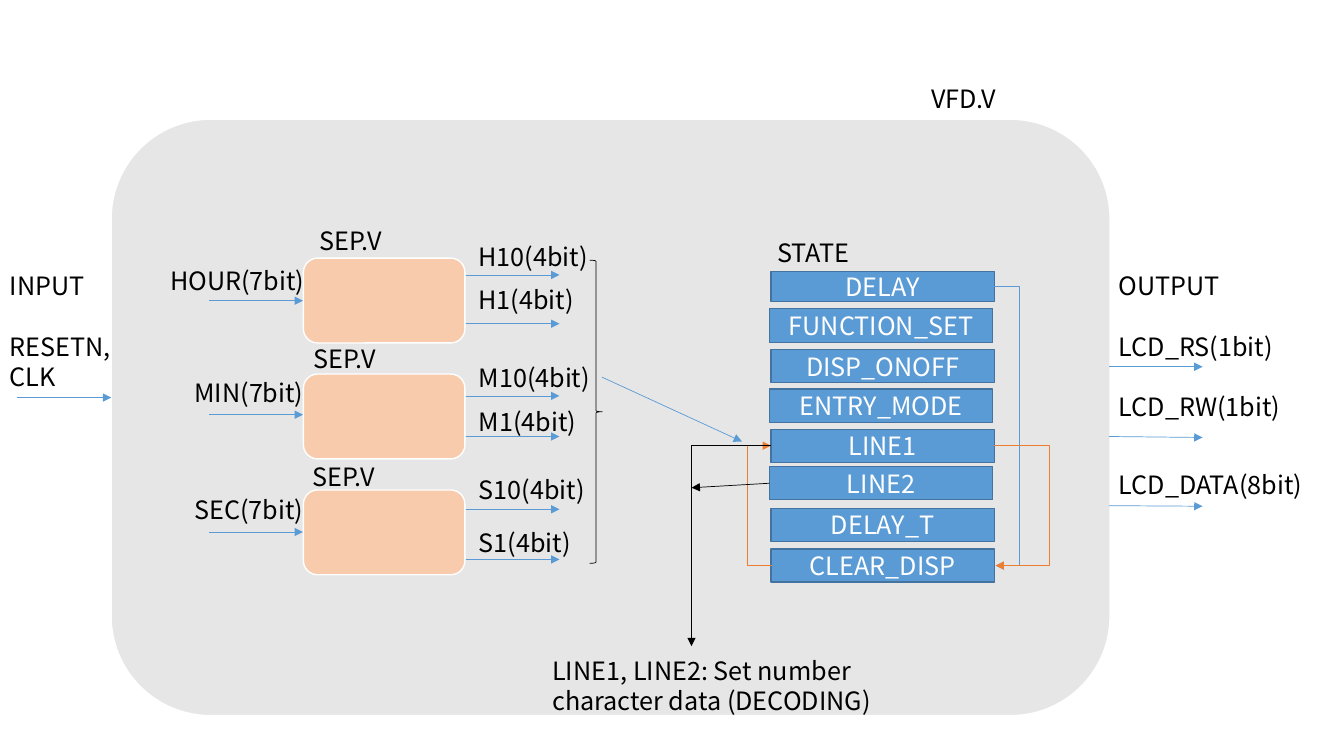
from typing import NamedTuple

from lxml import etree
from pptx import Presentation
from pptx.dml.color import RGBColor
from pptx.enum.shapes import MSO_CONNECTOR, MSO_SHAPE
from pptx.enum.text import MSO_ANCHOR, PP_ALIGN
from pptx.oxml.ns import qn
from pptx.util import Pt

RECT, ROUND = MSO_SHAPE.RECTANGLE, MSO_SHAPE.ROUNDED_RECTANGLE
BRACE = MSO_SHAPE.RIGHT_BRACE
STRAIGHT, ELBOW = MSO_CONNECTOR.STRAIGHT, MSO_CONNECTOR.ELBOW
MIDDLE, CENTER = MSO_ANCHOR.MIDDLE, PP_ALIGN.CENTER
FONT, SIZE, LINE = "Noto Sans CJK KR", 18, 21.8
BLACK, WHITE, GREY = "000000", "FFFFFF", "E7E6E6"
BLUE, NAVY, PEACH, ORANGE = "5B9BD5", "43739E", "F8CBAD", "ED7D31"
REACH = 67


class Box(NamedTuple):
    left: float
    top: float
    width: float
    height: float
    fill: str | None
    edge: str
    weight: float = 1
    kind: int = ROUND
    text: str = ""


class Label(NamedTuple):
    left: float
    top: float
    width: float
    text: str
    rows: int = 1


class Arrow(NamedTuple):
    x1: float
    y1: float
    x2: float
    y2: float
    tint: str = BLUE
    geom: str = ""
    bend: float = 0


class Signal(NamedTuple):
    text: str
    top: float
    wire: float


class Stage(NamedTuple):
    name: str
    left: float
    top: float
    signal: Signal
    start: float
    outs: tuple[Signal, Signal]


def color(code: str) -> RGBColor:
    return RGBColor.from_string(code)


def style(para, tint: str) -> None:
    para.font.name = FONT
    para.font.size = Pt(SIZE)
    para.font.color.rgb = color(tint)


def draw_box(box: Box) -> None:
    shape = slide.shapes.add_shape(
        box.kind, Pt(box.left), Pt(box.top), Pt(box.width), Pt(box.height))
    shape.shadow.inherit = False
    if box.fill:
        shape.fill.solid()
        shape.fill.fore_color.rgb = color(box.fill)
    else:
        shape.fill.background()
    shape.line.color.rgb = color(box.edge)
    shape.line.width = Pt(box.weight)
    if box.text:
        frame = shape.text_frame
        frame.vertical_anchor = MIDDLE
        frame.text = box.text
        para = frame.paragraphs[0]
        para.alignment = CENTER
        style(para, WHITE)


def draw_label(label: Label) -> None:
    height = LINE * label.rows + 7.2
    area = slide.shapes.add_textbox(
        Pt(label.left), Pt(label.top), Pt(label.width), Pt(height))
    frame = area.text_frame
    frame.word_wrap = True
    frame.text = label.text
    for index, para in enumerate(frame.paragraphs):
        style(para, BLACK)
        if index:
            para.space_before = Pt(LINE)


def draw_arrow(arrow: Arrow) -> None:
    wire = slide.shapes.add_connector(
        ELBOW if arrow.geom else STRAIGHT,
        Pt(arrow.x1), Pt(arrow.y1), Pt(arrow.x2), Pt(arrow.y2))
    wire.line.color.rgb = color(arrow.tint)
    wire.line.width = Pt(0.5)
    props = wire._element.spPr
    etree.SubElement(wire.line._get_or_add_ln(), qn("a:tailEnd"), type="triangle")
    etree.SubElement(props, qn("a:effectLst"))
    if arrow.geom:
        props.prstGeom.set("prst", arrow.geom)
    if arrow.bend:
        ratio = round(arrow.bend / abs(arrow.x2 - arrow.x1) * 100000)
        guides = props.prstGeom.get_or_add_avLst()
        etree.SubElement(guides, qn("a:gd"), name="adj1", fmla=f"val {ratio}")


deck = Presentation()
deck.slide_width, deck.slide_height = Pt(960), Pt(540)
slide = deck.slides.add_slide(deck.slide_layouts[6])

draw_box(Box(79.4, 85.2, 713.5, 426, GREY, WHITE))

labels = [
    Label(658, 56, 178, "VFD.V"),
    Label(0, 189.4, 102, "INPUT\nRESETN, CLK", 4),
    Label(792, 189.4, 160, "OUTPUT\nLCD_RS(1bit)", 3),
    Label(792, 275.8, 155, "LCD_RW(1bit)"),
    Label(792, 332, 155, "LCD_DATA(8bit)"),
    Label(548, 166, 178, "STATE"),
]
for label in labels:
    draw_label(label)

draw_arrow(Arrow(11.8, 284, 79.4, 284))
for start, end in ((262, 262), (311.8, 312.5), (361.2, 361.6)):
    draw_arrow(Arrow(792, start, 792 + REACH, end))

EVEN, ODD, WIDE = 550.8, 549.6, 159.4
states = [
    ("DELAY", EVEN, 193.8, 21.8),
    ("FUNCTION_SET", ODD, 220.4, 24.4),
    ("DISP_ONOFF", EVEN, 249.8, 23.6),
    ("ENTRY_MODE", ODD, 278, 23.6),
    ("LINE1", EVEN, 306.6, 23.6),
    ("LINE2", ODD, 333.4, 23.6),
    ("DELAY_T", EVEN, 363, 23.6),
    ("CLEAR_DISP", EVEN, 392.2, 23.6),
]
for name, left, top, height in states:
    draw_box(Box(left, top, WIDE, height, BLUE, NAVY, kind=RECT, text=name))

middle = {name: top + height / 2 for name, left, top, height in states}
first, clear = middle["LINE1"], middle["CLEAR_DISP"]
right = EVEN + WIDE
draw_arrow(Arrow(EVEN + 1, clear, EVEN, first, ORANGE, "bentConnector3", 18))
draw_arrow(Arrow(right, middle["DELAY"], right + 1, clear, BLUE, "bentConnector3", 18))
draw_arrow(Arrow(right, first, right + 1, clear, ORANGE, "bentConnector3", 39.7))

stages = [
    Stage("SEP.V", 221, 157.7, Signal("HOUR(7bit)", 185.8, 214.8), 114.5,
          (Signal("H10(4bit)", 169, 196.4), Signal("H1(4bit)", 199.6, 231.2))),
    Stage("SEP.V", 216.7, 242, Signal("MIN(7bit)", 265.8, 296.2), 131.8,
          (Signal("M10(4bit)", 255, 282.8), Signal("M1(4bit)", 286.6, 311.8))),
    Stage("SEP.V", 216, 326, Signal("SEC(7bit)", 349.4, 380), 131.8,
          (Signal("S10(4bit)", 335, 363.8), Signal("S1(4bit)", 372.8, 399.6))),
]
for index, stage in enumerate(stages):
    draw_box(Box(216.7, 184.4 + 82.8 * index, 115.4, 60.6, PEACH, WHITE))
    draw_label(Label(stage.left, stage.top, 178, stage.name))
    source = stage.signal
    draw_label(Label(stage.start, source.top, 178, source.text))
    draw_arrow(Arrow(149.4, source.wire, 149.4 + REACH, source.wire))
    for out in stage.outs:
        draw_label(Label(334.8, out.top, 104, out.text))
        draw_arrow(Arrow(332.6, out.wire, 332.6 + REACH, out.wire))

draw_box(Box(421.2, 185.8, 9, 216.6, None, BLACK, 0.5, BRACE))
draw_arrow(Arrow(430, 269.4, 530, 315.4))
draw_arrow(Arrow(EVEN, first, 494, 461.6, BLACK, "bentConnector2"))
draw_label(Label(387.4, 464.4, 270.8,
                 "LINE1, LINE2: Set number character data (DECODING)", 2))
draw_arrow(Arrow(ODD, middle["LINE2"], 494, 348.4, BLACK))

deck.save("out.pptx")
